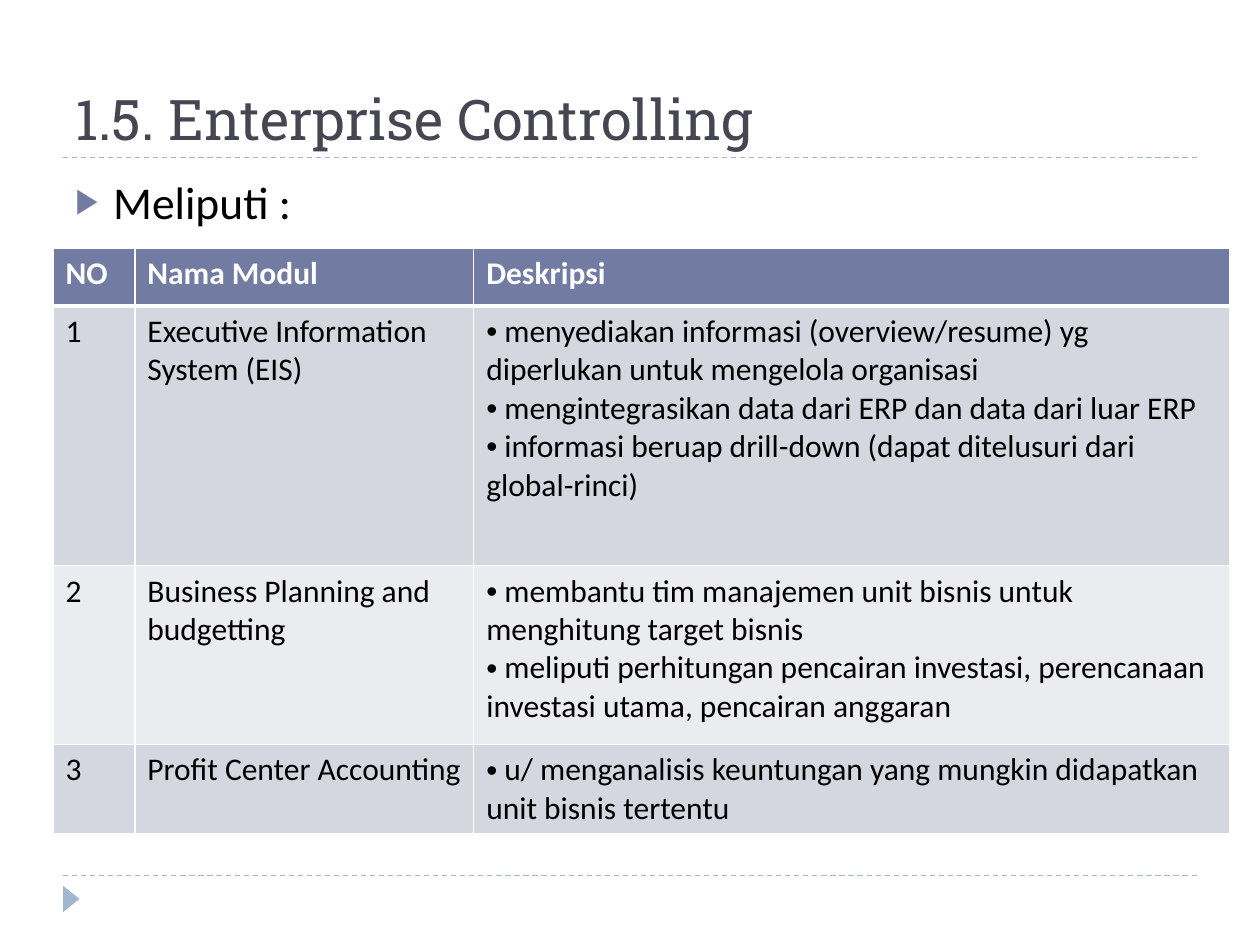
"""Build the Enterprise Controlling slide with its module table."""
from lxml.etree import SubElement
from pptx import Presentation
from pptx.dml.color import RGBColor
from pptx.enum.dml import MSO_LINE
from pptx.enum.shapes import MSO_CONNECTOR, MSO_SHAPE
from pptx.enum.text import MSO_ANCHOR
from pptx.oxml import parse_xml
from pptx.oxml.ns import nsdecls, qn
from pptx.util import Inches, Pt

COLORS = {"title": "464653", "accent": "727CA3", "rule": "9FB8CD", "text": "000000",
          "white": "FFFFFF", "odd": "D5D7E0", "even": "EBECF0"}
HEADER = ["NO", "Nama Modul", "Deskripsi"]
MODULES = [
    ("Executive Information System (EIS)", [
        "menyediakan informasi (overview/resume) yg diperlukan untuk mengelola organisasi",
        "mengintegrasikan data dari ERP dan data dari luar ERP",
        "informasi beruap drill-down (dapat ditelusuri dari global-rinci)"]),
    ("Business Planning and budgetting", [
        "membantu tim manajemen unit bisnis untuk menghitung target bisnis",
        "meliputi perhitungan pencairan investasi, perencanaan investasi utama, "
        "pencairan anggaran"]),
    ("Profit Center Accounting", [
        "u/ menganalisis keuntungan yang mungkin didapatkan unit bisnis tertentu"]),
]
COL_WIDTHS = [0.65, 2.69, 6]
ROW_HEIGHTS = [0.46, 2.06, 1.42, 0.71]


def write(tf, lines, size=18, font="Calibri", color="text", bold=False,
          bullet=None, bullet_color=None, bullet_size=100, indent=0, before=0):
    tf.word_wrap = True
    for i, line in enumerate(lines):
        p = tf.paragraphs[0] if i == 0 else tf.add_paragraph()
        p.space_before = Pt(before)
        r = p.add_run()
        r.text = line
        r.font.size, r.font.name, r.font.bold = Pt(size), font, bold
        r.font.color.rgb = RGBColor.from_string(COLORS[color])
        if bullet:
            pPr = p._p.get_or_add_pPr()
            pPr.set("marL", str(Inches(indent)))
            pPr.set("indent", str(-Inches(indent)))
            if bullet_color:
                clr = SubElement(pPr, qn("a:buClr"))
                SubElement(clr, qn("a:srgbClr"), val=COLORS[bullet_color])
            SubElement(pPr, qn("a:buSzPct"), val=str(bullet_size * 1000))
            SubElement(pPr, qn("a:buFont"), typeface="Arial")
            SubElement(pPr, qn("a:buChar"), char=bullet)


def style_cell(cell, fill, top, bottom):
    cell.fill.solid()
    cell.fill.fore_color.rgb = RGBColor.from_string(COLORS[fill])
    tcPr = cell._tc.get_or_add_tcPr()
    for i, (side, width) in enumerate(zip("LRTB", (1, 1, top, bottom))):
        tcPr.insert(i, parse_xml(
            f'<a:ln{side} {nsdecls("a")} w="{Pt(width)}"><a:solidFill>'
            f'<a:srgbClr val="{COLORS["white"]}"/></a:solidFill></a:ln{side}>'))


prs = Presentation()
prs.slide_width, prs.slide_height = Inches(10), Inches(7.5)
s = prs.slides.add_slide(prs.slide_layouts[6])

for y in (6.95, 1.25):
    rule = s.shapes.add_connector(MSO_CONNECTOR.STRAIGHT, Inches(0.5), Inches(y),
                                  Inches(9.5), Inches(y))
    rule.line.color.rgb = RGBColor.from_string(COLORS["rule"])
    rule.line.width = Pt(0.75)
    rule.line.dash_style = MSO_LINE.DASH
    SubElement(rule._element.spPr, qn("a:effectLst"))

marker = s.shapes.add_shape(MSO_SHAPE.ISOSCELES_TRIANGLE, Inches(0.46), Inches(7.07),
                            Inches(0.21), Inches(0.13))
marker.rotation = 90
marker.shadow.inherit = False
marker.fill.solid()
marker.fill.fore_color.rgb = RGBColor.from_string(COLORS["rule"])
marker.line.fill.background()

title = s.shapes.add_textbox(Inches(0.5), Inches(0.17), Inches(9), Inches(1.08))
title.text_frame.vertical_anchor = MSO_ANCHOR.BOTTOM
write(title.text_frame, ["1.5. Enterprise Controlling"], size=32, font="Roboto Slab",
      color="title")

body = s.shapes.add_textbox(Inches(0.5), Inches(1.33), Inches(9), Inches(5.4))
write(body.text_frame, ["Meliputi :"], size=26, bullet="▶", bullet_color="accent",
      bullet_size=76, indent=0.3, before=6)

table = s.shapes.add_table(len(ROW_HEIGHTS), len(COL_WIDTHS), Inches(0.42), Inches(1.97),
                           Inches(sum(COL_WIDTHS)), Inches(sum(ROW_HEIGHTS))).table
table.first_row = table.horz_banding = False
for column, width in zip(table.columns, COL_WIDTHS):
    column.width = Inches(width)
for row, height in zip(table.rows, ROW_HEIGHTS):
    row.height = Inches(height)

for c, heading in enumerate(HEADER):
    cell = table.cell(0, c)
    style_cell(cell, "accent", 1, 3)
    write(cell.text_frame, [heading], color="white", bold=True)

for n, (module, points) in enumerate(MODULES, 1):
    for c, lines in enumerate(([str(n)], [module], [f" {point}" for point in points])):
        cell = table.cell(n, c)
        style_cell(cell, "odd" if n % 2 else "even", 3 if n == 1 else 1, 1)
        write(cell.text_frame, lines, bullet="•" if c == 2 else None)

prs.save("out.pptx")
